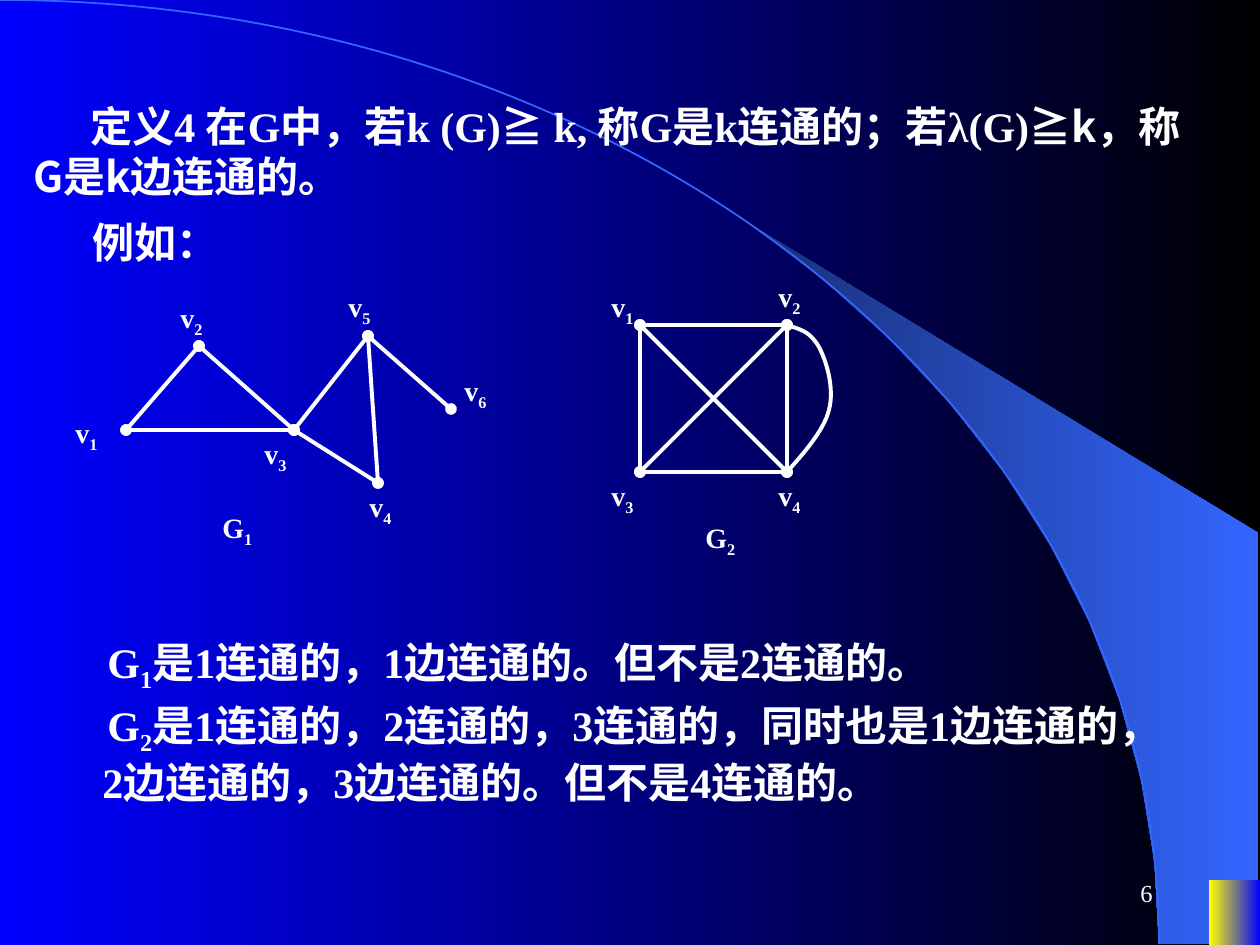
import math

import lxml.etree
import pptx
import pptx.dml.color
import pptx.enum.shapes
import pptx.enum.text
import pptx.oxml.ns
import pptx.util

EMU_PER_PX = 914400 / 126
COLORS = {
    "white": "FFFFFF",
    "blue": "0000FF",
    "black": "000000",
    "arc": "3366FF",
    "wedge": "182F76",
    "yellow": "FFFF00",
}
LATIN = "Times New Roman"
HAN = "Noto Sans CJK SC"


def px(length):
    """Turn a length in px into EMU."""
    return pptx.util.Emu(round(length * EMU_PER_PX))


def rgb(name):
    """Look up a colour by name."""
    return pptx.dml.color.RGBColor.from_string(COLORS[name])


def add_element(parent, tag, **attributes):
    """Append a DrawingML element to a parent."""
    return lxml.etree.SubElement(parent, pptx.oxml.ns.qn(tag), **attributes)


def paint_gradient(fill, start, end):
    """Fill with a left-to-right gradient of two colours."""
    fill.gradient()
    fill.gradient_angle = 0
    for stop, position, color in zip(fill.gradient_stops, (0, 1), (start, end)):
        stop.position = position
        stop.color.rgb = rgb(color)


def add_outline(shapes, points, close):
    """Build a freeform through points given in px."""
    corners = [(px(x), px(y)) for x, y in points]
    builder = shapes.build_freeform(*corners[0], scale=1.0)
    builder.add_line_segments(corners[1:], close=close)
    outline = builder.convert_to_shape()
    outline.shadow.inherit = False
    return outline


def add_curve(shapes, controls):
    """Build an open, unfilled chain of cubic curves from control points."""
    curve = add_outline(shapes, controls, False)
    curve.fill.background()
    segments = list(curve._element.iter(pptx.oxml.ns.qn("a:lnTo")))
    trail = segments[0].getparent()
    for i in range(0, len(segments), 3):
        cubic = add_element(trail, "a:cubicBezTo")
        for segment in segments[i:i + 3]:
            cubic.append(segment[0])
            trail.remove(segment)
    return curve


def style_edge(edge):
    """Draw an edge white with a round dot at each end."""
    edge.line.color.rgb = rgb("white")
    edge.line.width = pptx.util.Pt(2.25)
    line = edge._element.spPr.find(pptx.oxml.ns.qn("a:ln"))
    for end in ("a:headEnd", "a:tailEnd"):
        add_element(line, end, type="oval")


def add_text(shapes, box, runs, size, bold=True):
    """Add a wrapped text box of (text, font, is_subscript) runs."""
    frame = shapes.add_textbox(*map(px, box)).text_frame
    frame.word_wrap = True
    paragraph = frame.paragraphs[0]
    for text, font, is_subscript in runs:
        run = paragraph.add_run()
        run.text = text
        run.font.size = pptx.util.Pt(size)
        run.font.bold = bold
        run.font.color.rgb = rgb("white")
        run.font.name = font
        properties = run._r.get_or_add_rPr()
        add_element(properties, "a:ea", typeface=HAN)
        if is_subscript:
            properties.set("baseline", "-25000")
    return frame


def add_statement(slide, box, runs, indent, margin=0):
    """Add a body paragraph with a first-line indent."""
    paragraph = add_text(slide.shapes, box, runs, 24).paragraphs[0]
    properties = paragraph._p.get_or_add_pPr()
    properties.set("marL", str(px(margin)))
    properties.set("indent", str(px(indent)))


def add_symbol(shapes, left, top, letter, index):
    """Add a letter with a subscript index."""
    runs = [(letter, LATIN, False), (index, LATIN, True)]
    add_text(shapes, (left, top, 66 if letter == "v" else 84, 52), runs, 16)


def draw_backdrop(slide, box):
    """Draw the gradient, the sweeping arc, the wedge and the corner block."""
    left, top, width, height = box
    right, bottom = left + width, top + height
    paint_gradient(slide.background.fill, "blue", "black")
    rim = [
        (left + 1159 * math.sin(math.radians(degree)),
         top + 944 * (1 - math.cos(math.radians(degree))))
        for degree in range(40, 91, 5)
    ]
    wedge = add_outline(
        slide.shapes, rim + [(right - 2, bottom - 1), (right - 2, top + 533)], True)
    paint_gradient(wedge.fill, "wedge", "arc")
    wedge.line.fill.background()
    arc = add_curve(slide.shapes, [
        (left, top), (left + 640, top), (left + 1159, top + 422),
        (left + 1159, top + 944)])
    arc.line.color.rgb = rgb("arc")
    arc.line.width = pptx.util.Pt(1)
    corner = slide.shapes.add_shape(
        pptx.enum.shapes.MSO_SHAPE.RECTANGLE,
        px(right - 51), px(bottom - 65), px(51), px(65))
    corner.shadow.inherit = False
    paint_gradient(corner.fill, "yellow", "blue")
    corner.line.fill.background()


def draw_graph(slide, box, index, caption, vertices, edges, loop=()):
    """Draw a labelled graph from (point, label corner) vertices and index pairs."""
    left, top = box
    shapes = slide.shapes.add_group_shape().shapes
    points = [(left + x, top + y) for (x, y), _ in vertices]
    for start, end in edges:
        edge = shapes.add_connector(
            pptx.enum.shapes.MSO_CONNECTOR.STRAIGHT,
            *map(px, points[start - 1] + points[end - 1]))
        style_edge(edge)
        add_element(edge._element.spPr, "a:effectLst")
    if loop:
        style_edge(add_curve(shapes, [(left + x, top + y) for x, y in loop]))
    for number, (_, (x, y)) in enumerate(vertices, 1):
        add_symbol(shapes, left + x, top + y, "v", str(number))
    add_symbol(shapes, left + caption[0], top + caption[1], "G", index)


def draw_definition(slide, box):
    """Write the definition and the lead-in to the example."""
    left, top = box
    add_statement(slide, (left, top, 1197, 113), [
        ("定义4 在G中，若k (G)", LATIN, False),
        ("≧", HAN, False),
        (" k, 称G是k连通的；若λ(G)", LATIN, False),
        ("≧k，称G是k边连通的。", HAN, False),
    ], 57)
    add_statement(slide, (left + 21, top + 116, 1040, 63),
                  [("例如：", LATIN, False)], 38)


def draw_conclusions(slide, box):
    """Write what holds for each graph."""
    left, top = box
    add_statement(slide, (left, top, 1124, 71), [
        ("G", LATIN, False),
        ("1", LATIN, True),
        ("是1连通的，1边连通的。但不是2连通的。", LATIN, False),
    ], 53)
    add_statement(slide, (left + 11, top + 63, 1134, 121), [
        ("G", LATIN, False),
        ("2", LATIN, True),
        ("是1连通的，2连通的，3连通的，同时也是1边连通的，"
         "2边连通的，3边连通的。但不是4连通的。", LATIN, False),
    ], 5, margin=37)


def draw_page_number(slide, box):
    """Write the page number at the lower right."""
    frame = add_text(slide.shapes, box, [("6", LATIN, False)], 14, bold=False)
    frame.vertical_anchor = pptx.enum.text.MSO_ANCHOR.MIDDLE
    frame.paragraphs[0].alignment = pptx.enum.text.PP_ALIGN.RIGHT


def main():
    """Build the slide and save it."""
    deck = pptx.Presentation()
    deck.slide_width, deck.slide_height = px(1260), px(945)
    slide = deck.slides.add_slide(deck.slide_layouts[6])
    draw_backdrop(slide, (0, 0, 1260, 945))
    draw_page_number(slide, (903, 861, 262, 63))
    draw_definition(slide, (21, 94))
    draw_graph(
        slide, (63, 284), "1", (147, 220),
        [((63, 146), (0, 125)), ((136, 62), (105, 10)), ((231, 146), (189, 146)),
         ((315, 199), (294, 199)), ((305, 52), (273, -1)), ((388, 125), (389, 83))],
        [(2, 1), (2, 3), (1, 3), (3, 5), (5, 4), (3, 4), (5, 6)])
    draw_graph(
        slide, (599, 273), "2", (94, 241),
        [((41, 52), (0, 10)), ((188, 52), (167, 0)),
         ((41, 199), (0, 199)), ((188, 199), (167, 199))],
        [(1, 3), (1, 2), (3, 4), (2, 4), (1, 4), (2, 3)],
        [(188, 52), (201, 56), (212, 60), (220, 74), (227, 87),
         (236, 115), (230, 137), (225, 158), (196, 190), (188, 199)])
    draw_conclusions(slide, (42, 630))
    deck.save("out.pptx")


if __name__ == "__main__":
    main()
